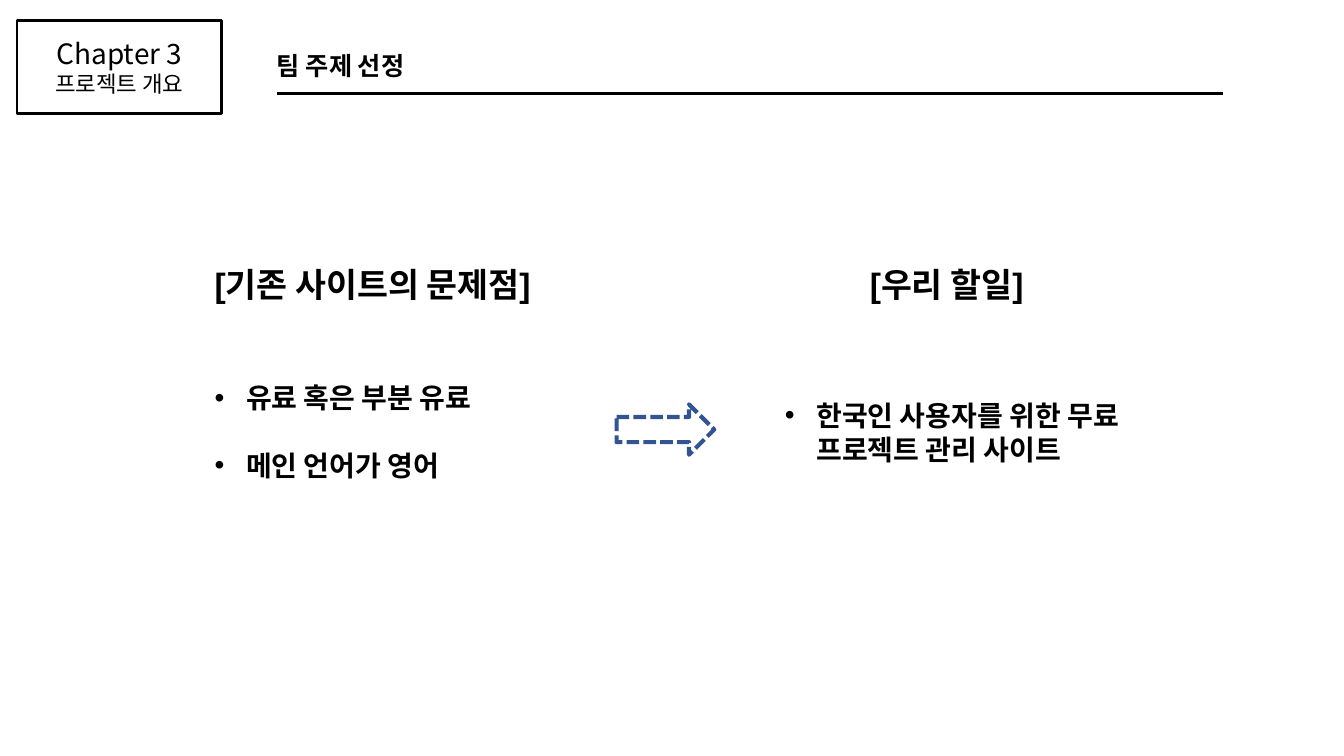
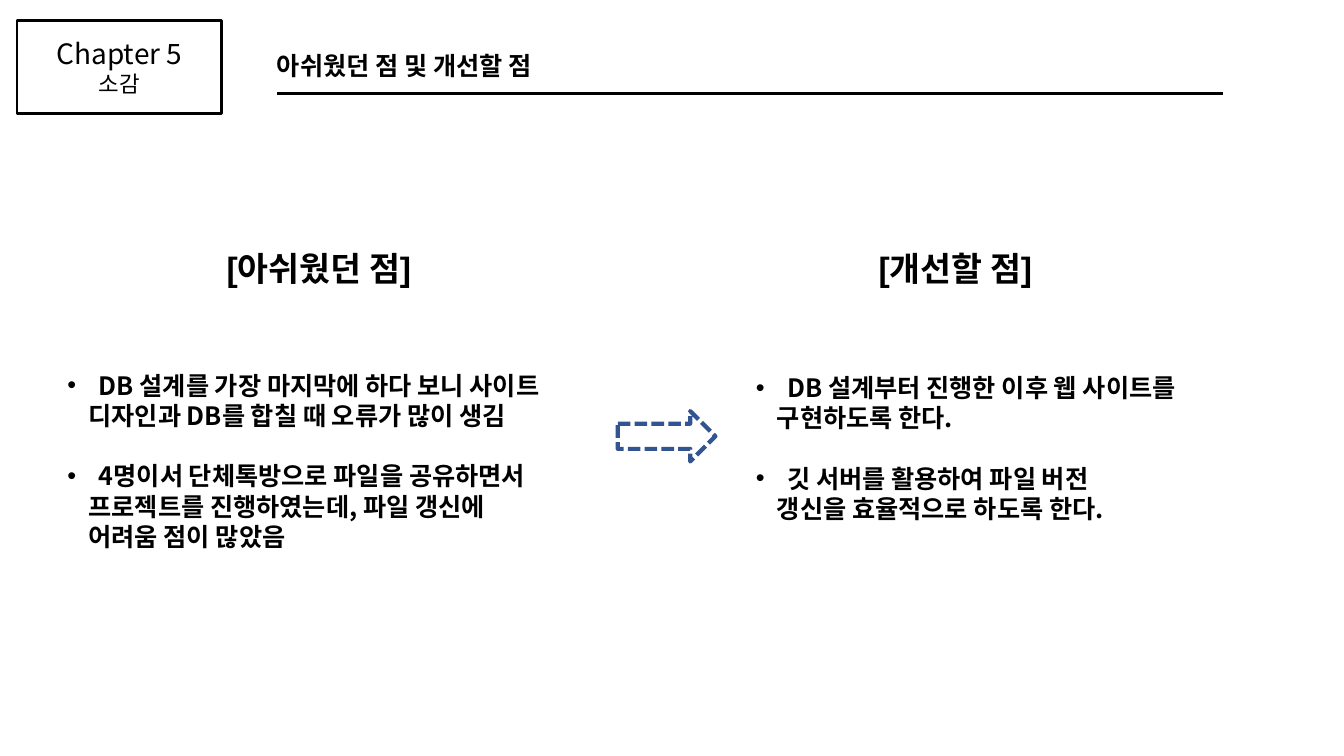
from dataclasses import dataclass
from pptx import Presentation
from pptx.dml.color import RGBColor
from pptx.enum import dml, shapes, text
from pptx.oxml.ns import qn
from pptx.util import Cm, Pt
from lxml import etree


@dataclass(frozen=True)
class Theme:
    ink: RGBColor = RGBColor(0x00, 0x00, 0x00)
    paper: RGBColor = RGBColor(0xFF, 0xFF, 0xFF)
    blue: RGBColor = RGBColor(0x32, 0x54, 0x91)
    sans: str = "Noto Sans CJK KR"
    latin: str = "Arial"
    chapter: int = 20
    topic: int = 16
    title: int = 18
    head: int = 24


THEME = Theme()
BOX = (0.43, 0.51, 5.16, 2.36)
TITLE = (6.73, 1.14, 13.69, 1.02)
RULE = (6.99, 2.36, 30.81, 2.36)
HANG, CONT = 0.79, 0.53

PAGES = [
    {
        "chapter": "Chapter 3",
        "topic": "프로젝트 개요",
        "title": "팀 주제 선정",
        "size": 20,
        "arrow": (15.54, 10.19, 2.46, 1.27),
        "sides": [
            {
                "head": "[기존 사이트의 문제점]",
                "spot": (5.16, 6.53, 9.27, 1.27),
                "items": [["유료 혹은 부분 유료"], ["메인 언어가 영어"]],
                "area": (5.16, 9.47, 10.74, 2.82),
            },
            {
                "head": "[우리 할일]",
                "spot": (21.67, 6.53, 9.27, 1.27),
                "items": [["한국인 사용자를 위한 무료 프로젝트 관리 사이트"]],
                "area": (19.53, 9.91, 10.74, 1.96),
            },
        ],
    },
    {
        "chapter": "Chapter 5",
        "topic": "소감",
        "title": "아쉬웠던 점 및 개선할 점",
        "size": 18,
        "arrow": (15.57, 10.36, 2.46, 1.27),
        "sides": [
            {
                "head": "[아쉬웠던 점]",
                "spot": (5.46, 6.12, 7.49, 1.27),
                "items": [
                    ["DB 설계를 가장 마지막에 하다 보니 사이트",
                     "디자인과 DB를 합칠 때 오류가 많이 생김"],
                    ["4명이서 단체톡방으로 파일을 공유하면서",
                     "프로젝트를 진행하였는데, 파일 갱신에",
                     "어려움 점이 많았음"],
                ],
                "area": (1.45, 9.19, 14, 4.88),
            },
            {
                "head": "[개선할 점]",
                "spot": (21.89, 6.12, 7.49, 1.27),
                "items": [
                    ["DB 설계부터 진행한 이후 웹 사이트를",
                     "구현하도록 한다."],
                    ["깃 서버를 활용하여 파일 버전",
                     "갱신을 효율적으로 하도록 한다."],
                ],
                "area": (18.8, 9.25, 12.73, 4.11),
            },
        ],
    },
]


def place(shape, rect):
    shape.left, shape.top, shape.width, shape.height = map(Cm, rect)


def frame(shape, anchor=text.MSO_ANCHOR.TOP):
    body = shape.text_frame
    body.word_wrap = True
    body.auto_size = text.MSO_AUTO_SIZE.NONE
    body.vertical_anchor = anchor
    body.margin_left = body.margin_right = Cm(0.25)
    body.margin_top = body.margin_bottom = Cm(0.13)
    return body


def style(para, size, bold=True, face=THEME.sans, align=text.PP_ALIGN.LEFT, gap=0):
    para.alignment = align
    para.line_spacing = 1.0
    para.space_before = Pt(gap)
    para.space_after = Pt(0)
    font = para.font
    font.size, font.bold, font.name = Pt(size), bold, face
    font.color.rgb = THEME.ink
    east = etree.Element(qn("a:ea"), typeface=THEME.sans)
    para._p.pPr.find(qn("a:defRPr")).find(qn("a:latin")).addnext(east)


def indent(para, first):
    props = para._p.get_or_add_pPr()
    props.set("marL", str(Cm(HANG if first else CONT)))
    props.set("indent", str(-Cm(HANG) if first else 0))
    if first:
        etree.SubElement(props, qn("a:buFont"), typeface=THEME.latin)
        etree.SubElement(props, qn("a:buChar"), char="•")
    else:
        etree.SubElement(props, qn("a:buNone"))


def write(shape, rect, words, size, face=THEME.sans):
    place(shape, rect)
    para = frame(shape).paragraphs[0]
    para.text = words
    style(para, size, face=face)


def fill_list(shape, rect, items, size):
    place(shape, rect)
    body = frame(shape)
    lines = [(row, num, line) for row, item in enumerate(items)
             for num, line in enumerate(item)]
    for pos, (row, num, line) in enumerate(lines):
        para = body.add_paragraph() if pos else body.paragraphs[0]
        para.text = line
        indent(para, num == 0)
        style(para, size, gap=size * 1.2 if row and num == 0 else 0)


def add_box(slide, page):
    box = slide.shapes.add_shape(shapes.MSO_SHAPE.RECTANGLE, *map(Cm, BOX))
    box.shadow.inherit = False
    box.fill.background()
    box.line.color.rgb = THEME.ink
    box.line.width = Pt(2)
    body = frame(box, text.MSO_ANCHOR.MIDDLE)
    for pos, key in enumerate(("chapter", "topic")):
        para = body.add_paragraph() if pos else body.paragraphs[0]
        para.text = page[key]
        style(para, getattr(THEME, key), bold=False, align=text.PP_ALIGN.CENTER)


def add_rule(slide):
    rule = slide.shapes.add_connector(shapes.MSO_CONNECTOR.STRAIGHT, *map(Cm, RULE))
    rule.line.color.rgb = THEME.ink
    rule.line.width = Pt(2.25)
    etree.SubElement(rule._element.spPr, qn("a:effectLst"))


def add_arrow(slide, rect):
    arrow = slide.shapes.add_shape(shapes.MSO_SHAPE.RIGHT_ARROW, *map(Cm, rect))
    arrow.shadow.inherit = False
    arrow.fill.solid()
    arrow.fill.fore_color.rgb = THEME.paper
    arrow.line.color.rgb = THEME.blue
    arrow.line.width = Pt(3)
    arrow.line.dash_style = dml.MSO_LINE.SQUARE_DOT


def add_page(deck, page):
    slide = deck.slides.add_slide(deck.slide_layouts.get_by_name("Comparison"))
    holders = {item.placeholder_format.idx: item for item in slide.placeholders}
    write(slide.shapes.title, TITLE, page["title"], THEME.title)
    for side, idx in zip(page["sides"], (1, 3)):
        write(holders[idx], side["spot"], side["head"], THEME.head, THEME.latin)
        fill_list(holders[idx + 1], side["area"], side["items"], page["size"])
    add_box(slide, page)
    add_rule(slide)
    add_arrow(slide, page["arrow"])


def main():
    deck = Presentation()
    deck.slide_width, deck.slide_height = Cm(33.87), Cm(19.05)
    for page in PAGES:
        add_page(deck, page)
    deck.save("out.pptx")


if __name__ == "__main__":
    main()
